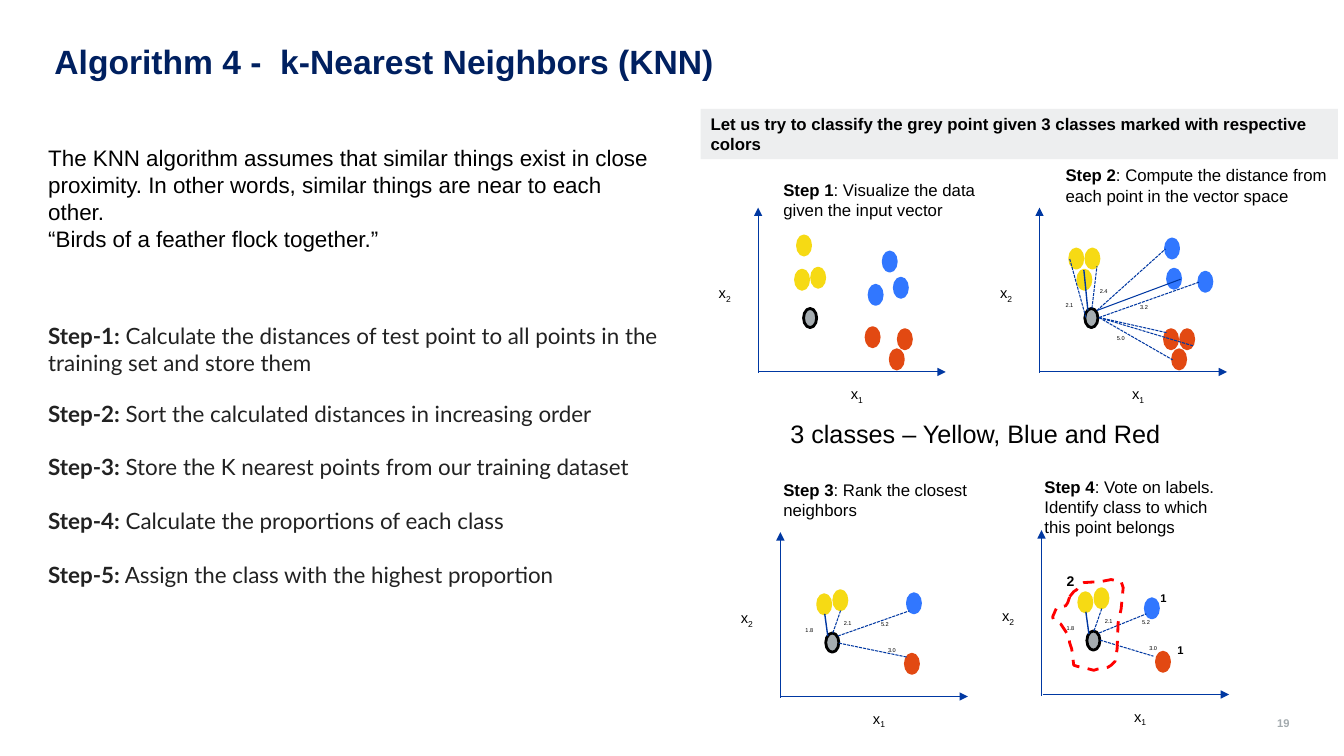
from dataclasses import dataclass
from typing import NamedTuple

from lxml.etree import SubElement
from pptx import Presentation
from pptx.dml.color import RGBColor
from pptx.enum.dml import MSO_LINE_DASH_STYLE as Dash
from pptx.enum.shapes import MSO_CONNECTOR as Connector, MSO_SHAPE as Preset
from pptx.enum.text import MSO_ANCHOR as Anchor, MSO_AUTO_SIZE as AutoSize, PP_ALIGN as Align
from pptx.oxml.ns import qn
from pptx.slide import Slide
from pptx.util import Inches, Pt


@dataclass(frozen=True)
class Theme:
    sans: str = "Arial"
    lato: str = "Lato"
    black: str = "000000"
    title: str = "002060"
    steps: str = "222222"
    axis: str = "0038A2"
    yellow: str = "F6DA14"
    blue: str = "3177FF"
    red: str = "E24912"
    grey: str = "A5ACB0"
    banner: str = "EDEEEF"
    vote: str = "FF0000"
    page: str = "A3AAAE"
    title_size: float = 24
    classes_size: float = 18
    body_size: float = 16
    caption_size: float = 12
    axis_size: float = 10.5
    majority_size: float = 10
    small_size: float = 8
    distance_size: float = 4
    thin: float = 0.75
    nearest: float = 1
    outline: float = 2


THEME = Theme()
Point = tuple[float, float]


class Run(NamedTuple):
    text: str
    bold: bool = False
    subscript: bool = False


class Ray(NamedTuple):
    start: Point
    end: Point
    dashed: bool = True
    width: float = THEME.thin


class Distance(NamedTuple):
    text: str
    place: Point


@dataclass(frozen=True)
class Panel:
    origin: Point
    caption: tuple[Run, Run]
    caption_box: tuple[float, float, float, float]
    yellow: list[Point]
    blue: list[Point]
    red: list[Point]
    rays: list[Ray]
    distances: list[Distance]


NEAR_YELLOW = [(0.53, -1.06), (0.37, -1.02)]
NEAR_RAYS = [Ray((0.47, -0.61), (0.44, -0.83), False, THEME.nearest),
             Ray((0.52, -0.64), (0.6, -0.87))]
NEAR_DISTANCES = [Distance("2.1", (0.53, -0.82)), Distance("1.8", (0.15, -0.75)),
                  Distance("5.2", (0.9, -0.81)), Distance("3.0", (0.97, -0.55))]

PANELS = [
    Panel((7.52, 3.7),
          (Run("Step 1", True), Run(": Visualize the data given the input vector")),
          (7.67, 1.73, 2.19, 0.5),
          [(0.39, -1.36), (0.53, -1.04), (0.37, -1.02)],
          [(1.24, -1.2), (1.1, -0.87), (1.35, -0.94)],
          [(1.07, -0.45), (1.39, -0.43), (1.31, -0.23)], [], []),
    Panel((10.31, 3.7),
          (Run("Step 2", True), Run(": Compute the distance from each point in the vector space")),
          (10.47, 1.59, 2.8, 0.5),
          [(0.3, -1.23), (0.46, -1.23), (0.38, -1.02)],
          [(1.25, -1.33), (1.27, -1.03), (1.58, -1.0)],
          [(1.24, -0.43), (1.4, -0.43), (1.32, -0.23)],
          [Ray((0.48, -0.62), (0.44, -1.02), False, THEME.nearest),
           Ray((0.52, -0.64), (0.57, -1.06)),
           Ray((0.46, -0.55), (0.3, -1.13)),
           Ray((0.57, -0.62), (1.25, -1.23)),
           Ray((0.57, -0.62), (1.4, -0.93), False),
           *(Ray((0.59, -0.55), end)
             for end in [(1.58, -0.9), (1.26, -0.4), (1.32, -0.13), (1.52, -0.27)])],
          [Distance("2.4", (0.5, -0.89)), Distance("2.1", (0.16, -0.75)),
           Distance("3.2", (0.9, -0.73)), Distance("5.0", (0.67, -0.43))]),
    Panel((7.74, 6.92),
          (Run("Step 3", True), Run(": Rank the closest neighbors")),
          (7.67, 4.71, 2.08, 0.5),
          NEAR_YELLOW, [(1.26, -1.03)], [(1.24, -0.43)],
          NEAR_RAYS + [Ray((0.57, -0.61), (1.28, -0.86)), Ray((0.58, -0.54), (1.26, -0.4))],
          NEAR_DISTANCES),
    Panel((10.33, 6.9),
          (Run("Step 4", True), Run(": Vote on labels. Identify class to which this point belongs")),
          (10.26, 4.68, 2.08, 0.71),
          NEAR_YELLOW, [(1.03, -0.96)], [(1.14, -0.43)],
          NEAR_RAYS + [Ray((0.57, -0.62), (1.04, -0.81)), Ray((0.58, -0.55), (1.11, -0.39))],
          NEAR_DISTANCES),
]

STEPS = ["Calculate the distances of test point to all points in the training set and store them",
         "Sort the calculated distances in increasing order",
         "Store the K nearest points from our training dataset",
         "Calculate the proportions of each class",
         "Assign the class with the highest proportion"]
STEP_GAPS = [0, 16.8, 19.2, 19.2, 19.2]

VOTE_OUTLINE = [(10.61, 5.92), (10.65, 5.87), (10.68, 5.85), (10.71, 5.8), (10.75, 5.78),
                (10.92, 5.77), (11.02, 5.75), (11.12, 5.77), (11.14, 5.83), (11.12, 6.04),
                (11.09, 6.18), (11.08, 6.44), (11.06, 6.56), (11.02, 6.6), (10.99, 6.62),
                (10.88, 6.64), (10.85, 6.65), (10.77, 6.63), (10.68, 6.61), (10.65, 6.6),
                (10.63, 6.44), (10.61, 6.38), (10.6, 6.31), (10.52, 6.19), (10.45, 6.15),
                (10.44, 6.12), (10.48, 6.03), (10.57, 6.01), (10.59, 5.98)]


def color(value: str) -> RGBColor:
    return RGBColor.from_string(value)


def add_text(slide: Slide, box: tuple[float, float, float, float], paragraphs: list[list[Run]],
             size: float, ink: str = THEME.black, font: str = THEME.sans, wrap: bool = True,
             gaps: list[float] | None = None, anchor: Anchor = Anchor.TOP,
             align: Align = Align.LEFT, inset: bool = True, spacing: float = 1,
             fill: str | None = None) -> None:
    shape = slide.shapes.add_textbox(*map(Inches, box))
    if fill:
        shape.fill.solid()
        shape.fill.fore_color.rgb = color(fill)
    frame = shape.text_frame
    frame.word_wrap = wrap
    frame.auto_size = AutoSize.SHAPE_TO_FIT_TEXT if inset else AutoSize.NONE
    frame.vertical_anchor = anchor
    if not inset:
        frame.margin_left = frame.margin_right = frame.margin_top = frame.margin_bottom = 0
    for index, runs in enumerate(paragraphs):
        paragraph = frame.add_paragraph() if index else frame.paragraphs[0]
        paragraph.alignment = align
        paragraph.line_spacing = spacing
        if gaps and index:
            paragraph.space_before = Pt(gaps[index])
        paragraph.font.name = font
        paragraph.font.size = Pt(size)
        paragraph.font.color.rgb = color(ink)
        for item in runs:
            run = paragraph.add_run()
            run.text = item.text
            run.font.bold = item.bold
            if item.subscript:
                run.font._element.set("baseline", "-25000")


def add_line(slide: Slide, start: Point, end: Point, width: float = THEME.thin,
             dashed: bool = False, arrow: bool = False) -> None:
    connector = slide.shapes.add_connector(Connector.STRAIGHT, *map(Inches, (*start, *end)))
    connector.line.color.rgb = color(THEME.axis)
    connector.line.width = Pt(width)
    if dashed:
        connector.line.dash_style = Dash.SQUARE_DOT
    properties = connector._element.spPr
    if arrow:
        SubElement(properties.find(qn("a:ln")), qn("a:tailEnd"), type="triangle")
    SubElement(properties, qn("a:effectLst"))


def add_dot(slide: Slide, place: Point, fill: str, outline: str) -> None:
    shape = slide.shapes.add_shape(Preset.OVAL, *map(Inches, (*place, 0.13, 0.19)))
    shape.shadow.inherit = False
    shape.fill.solid()
    shape.fill.fore_color.rgb = color(fill)
    shape.line.color.rgb = color(outline)
    shape.line.width = Pt(THEME.outline)


def add_panel(slide: Slide, panel: Panel) -> None:
    def at(offset: Point) -> Point:
        return panel.origin[0] + offset[0], panel.origin[1] + offset[1]

    add_line(slide, panel.origin, at((0, -1.64)), arrow=True)
    add_line(slide, at((0.01, -0.01)), at((1.86, -0.01)), arrow=True)
    for fill, places in ((THEME.yellow, panel.yellow), (THEME.blue, panel.blue),
                         (THEME.red, panel.red)):
        for place in places:
            add_dot(slide, at(place), fill, fill)
    add_dot(slide, at((0.45, -0.64)), THEME.grey, THEME.black)
    for ray in panel.rays:
        add_line(slide, at(ray.start), at(ray.end), ray.width, ray.dashed)
    for distance in panel.distances:
        add_text(slide, (*at(distance.place), 0.29, 0.17), [[Run(distance.text)]],
                 THEME.distance_size)
    for index, place in (("2", (-0.49, -0.93)), ("1", (0.82, 0.07))):
        add_text(slide, (*at(place), 0.45, 0.28), [[Run("x"), Run(index, subscript=True)]],
                 THEME.axis_size)
    add_text(slide, panel.caption_box, [list(panel.caption)], THEME.caption_size)


def add_vote_outline(slide: Slide) -> None:
    points = [(Inches(x), Inches(y)) for x, y in VOTE_OUTLINE]
    builder = slide.shapes.build_freeform(*points[0])
    builder.add_line_segments(points[1:], close=True)
    shape = builder.convert_to_shape()
    shape.shadow.inherit = False
    shape.fill.background()
    shape.line.color.rgb = color(THEME.vote)
    shape.line.width = Pt(THEME.outline)
    shape.line.dash_style = Dash.DASH


def main() -> None:
    presentation = Presentation()
    presentation.slide_width, presentation.slide_height = Inches(13.33), Inches(7.5)
    slide = presentation.slides.add_slide(presentation.slide_layouts[6])
    add_text(slide, (0.54, 0.45, 12, 0.36), [[Run("Algorithm 4 -  k-Nearest Neighbors (KNN)", True)]],
             THEME.title_size, THEME.title, anchor=Anchor.BOTTOM, inset=False, spacing=0.9)
    add_text(slide, (0.38, 3.15, 6.48, 2.76),
             [[Run(f"Step-{number}:", True), Run(f" {step}")] for number, step in enumerate(STEPS, 1)],
             THEME.body_size, THEME.steps, THEME.lato, gaps=STEP_GAPS)
    add_text(slide, (0.38, 1.38, 6.29, 1.21),
             [[Run("The KNN algorithm assumes that similar things exist in close proximity. "
                   "In other words, similar things are near to each other.")],
              [Run("“Birds of a feather flock together.”")]], THEME.body_size)
    add_text(slide, (7.74, 4.1, 3.9, 0.4), [[Run("3 classes – Yellow, Blue and Red")]],
             THEME.classes_size, wrap=False)
    add_text(slide, (6.95, 1.08, 6.32, 0.5),
             [[Run("Let us try to classify the grey point given 3 classes marked with "
                   "respective colors", True)]], THEME.caption_size, fill=THEME.banner)
    for panel in PANELS:
        add_panel(slide, panel)
    add_text(slide, (10.48, 5.63, 0.29, 0.27), [[Run("2", True)]], THEME.majority_size)
    for place in ((11.41, 5.82), (11.58, 6.33)):
        add_text(slide, (*place, 0.29, 0.24), [[Run("1", True)]], THEME.small_size)
    add_vote_outline(slide)
    add_text(slide, (11.09, 7.12, 1.7, 0.1), [[Run("19", True)]], THEME.small_size, THEME.page,
             anchor=Anchor.MIDDLE, align=Align.RIGHT, inset=False)
    presentation.save("out.pptx")


if __name__ == "__main__":
    main()
